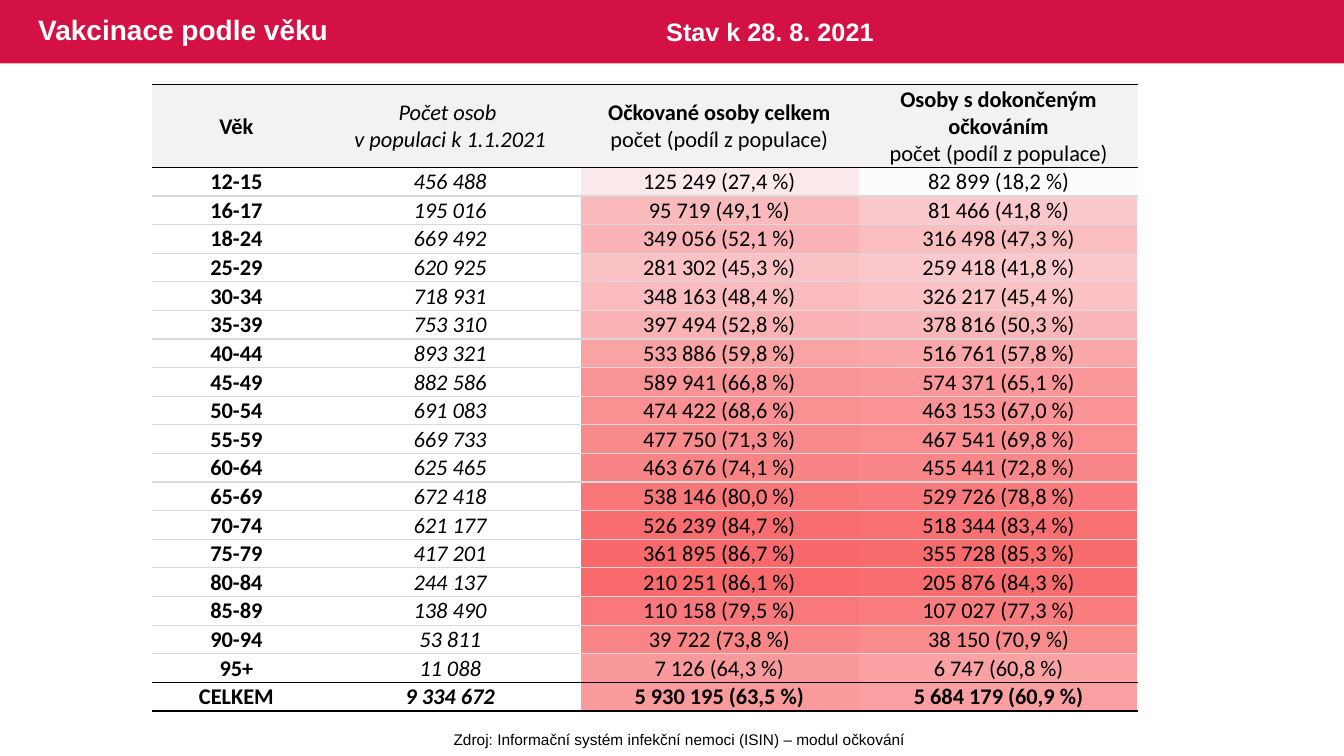
from lxml import etree
from pptx import Presentation
from pptx import util as u
from pptx.dml.color import RGBColor
from pptx.enum import shapes, text
from pptx.oxml.ns import qn

CRIMSON = RGBColor(0xD3, 0x11, 0x45)
WHITE = RGBColor(0xFF, 0xFF, 0xFF)
BLACK = RGBColor(0x00, 0x00, 0x00)
HEADER_GREY = RGBColor(0xF2, 0xF2, 0xF2)
RULE_GREY = RGBColor(0xD9, 0xD9, 0xD9)
HEAT_LOW = RGBColor(0xFC, 0xFC, 0xFF)
HEAT_HIGH = RGBColor(0xF8, 0x69, 0x6B)

COLUMN_WIDTHS = [1.67, 2.57, 2.77, 2.77]
HEAT_WIDTHS = [2.76, 2.76]
HEADER_HEIGHT = 0.82
TABLE_HEIGHT = 6.22

# Each header cell: lines of (wording, bold, italic)
HEADERS = [
    [("Věk", True, False)],
    [("Počet osob ", False, True), ("v populaci k 1.1.2021", False, True)],
    [("Očkované osoby celkem", True, False), ("počet (podíl z populace)", False, False)],
    [("Osoby s dokončeným očkováním", True, False), ("počet (podíl z populace)", False, False)],
]

# Age group, population, vaccinated, share in %, fully vaccinated, share in %
AGE_GROUPS = [
    ("12-15", "456 488", "125 249", 27.4, "82 899", 18.2),
    ("16-17", "195 016", "95 719", 49.1, "81 466", 41.8),
    ("18-24", "669 492", "349 056", 52.1, "316 498", 47.3),
    ("25-29", "620 925", "281 302", 45.3, "259 418", 41.8),
    ("30-34", "718 931", "348 163", 48.4, "326 217", 45.4),
    ("35-39", "753 310", "397 494", 52.8, "378 816", 50.3),
    ("40-44", "893 321", "533 886", 59.8, "516 761", 57.8),
    ("45-49", "882 586", "589 941", 66.8, "574 371", 65.1),
    ("50-54", "691 083", "474 422", 68.6, "463 153", 67.0),
    ("55-59", "669 733", "477 750", 71.3, "467 541", 69.8),
    ("60-64", "625 465", "463 676", 74.1, "455 441", 72.8),
    ("65-69", "672 418", "538 146", 80.0, "529 726", 78.8),
    ("70-74", "621 177", "526 239", 84.7, "518 344", 83.4),
    ("75-79", "417 201", "361 895", 86.7, "355 728", 85.3),
    ("80-84", "244 137", "210 251", 86.1, "205 876", 84.3),
    ("85-89", "138 490", "110 158", 79.5, "107 027", 77.3),
    ("90-94", "53 811", "39 722", 73.8, "38 150", 70.9),
    ("95+", "11 088", "7 126", 64.3, "6 747", 60.8),
    ("CELKEM", "9 334 672", "5 930 195", 63.5, "5 684 179", 60.9),
]
SHARES = [share for group in AGE_GROUPS for share in (group[3], group[5])]


def heat(share):
    """Colour between the lowest and the highest share."""
    part = (share - min(SHARES)) / (max(SHARES) - min(SHARES))
    return RGBColor(*(round(low + (high - low) * part)
                      for low, high in zip(HEAT_LOW, HEAT_HIGH)))


def count_and_share(count, share):
    return f"{count} ({share:.1f} %)".replace(".", ",")


class SlideBuilder:
    heading_font = "Arial"
    table_font = "Calibri"
    table_size = 16

    def __init__(self, slide):
        self.slide = slide

    def bar(self, left, top, width, height, color):
        bar = self.slide.shapes.add_shape(
            shapes.MSO_SHAPE.RECTANGLE, *map(u.Inches, (left, top, width, height)))
        bar.shadow.inherit = False
        bar.fill.solid()
        bar.fill.fore_color.rgb = color
        bar.line.fill.background()

    def span(self, para, wording, font, size, color, bold=False, italic=False):
        span = para.add_run()
        span.text = wording
        span.font.name = font
        span.font.size = u.Pt(size)
        span.font.color.rgb = color
        span.font.bold = bold
        span.font.italic = italic

    def label(self, left, top, width, height, wording, size, color, bold=False,
              align=text.PP_ALIGN.LEFT, anchor=text.MSO_ANCHOR.TOP, wrap=True, spacing=1.0):
        box = self.slide.shapes.add_textbox(*map(u.Inches, (left, top, width, height)))
        frame = box.text_frame
        frame.word_wrap = wrap
        frame.vertical_anchor = anchor
        para = frame.paragraphs[0]
        para.alignment = align
        para.line_spacing = spacing
        self.span(para, wording, self.heading_font, size, color, bold)

    def table(self, left, top, widths, heights):
        frame = self.slide.shapes.add_table(
            len(heights), len(widths),
            *map(u.Inches, (left, top, sum(widths), sum(heights))))
        table = frame.table
        table.first_row = table.horz_banding = False
        for column, width in zip(table.columns, widths):
            column.width = u.Inches(width)
        for row, height in zip(table.rows, heights):
            row.height = u.Inches(height)
        return table

    def cell(self, cell, lines=(), fill=None, above=None, below=None):
        cell.margin_left = cell.margin_right = cell.margin_top = u.Inches(0.01)
        cell.margin_bottom = 0
        cell.vertical_anchor = text.MSO_ANCHOR.MIDDLE
        self.borders(cell, above, below)
        if fill is None:
            cell.fill.background()
        else:
            cell.fill.solid()
            cell.fill.fore_color.rgb = fill
        frame = cell.text_frame
        for index, (wording, bold, italic) in enumerate(lines):
            para = frame.add_paragraph() if index else frame.paragraphs[0]
            para.alignment = text.PP_ALIGN.CENTER
            self.span(para, wording, self.table_font, self.table_size, BLACK, bold, italic)
        if not lines:  # keeps a cell without wording as low as its row
            etree.SubElement(frame.paragraphs[0]._p, qn("a:endParaRPr"), sz="1000")

    def borders(self, cell, above, below):
        properties = cell._tc.get_or_add_tcPr()
        for side, color in (("L", None), ("R", None), ("T", above), ("B", below)):
            line = etree.SubElement(properties, qn(f"a:ln{side}"), w=str(u.Pt(1)))
            if color is None:
                etree.SubElement(line, qn("a:noFill"))
            else:
                solid = etree.SubElement(line, qn("a:solidFill"))
                etree.SubElement(solid, qn("a:srgbClr"), val=str(color))


def main():
    deck = Presentation()
    deck.slide_width = u.Inches(13.33)
    deck.slide_height = u.Inches(7.5)
    page = SlideBuilder(deck.slides.add_slide(deck.slide_layouts[6]))
    total = len(AGE_GROUPS)
    row_heights = [(TABLE_HEIGHT - HEADER_HEIGHT) / total] * total

    # Title band
    page.bar(0, 0, 13.33, 0.63, CRIMSON)

    # Heat map behind the two share columns
    heat_map = page.table(5.76, 1.66, HEAT_WIDTHS, row_heights)
    for row, group in enumerate(AGE_GROUPS):
        for column, share in enumerate((group[3], group[5])):
            page.cell(heat_map.cell(row, column), fill=heat(share))

    # Headings and source line
    page.label(0.28, 0, 8.13, 0.63, "Vakcinace podle věku", 20, WHITE, bold=True,
               anchor=text.MSO_ANCHOR.MIDDLE, spacing=0.9)
    page.label(6.51, 0.11, 2.96, 0.4, "Stav k 28. 8. 2021", 18, WHITE, bold=True)
    page.label(4.39, 7.19, 4.7, 0.29,
               "Zdroj: Informační systém infekční nemoci (ISIN) – modul očkování",
               11, BLACK, align=text.PP_ALIGN.CENTER, wrap=False)

    # Vaccination table: header
    table = page.table(1.51, 0.84, COLUMN_WIDTHS, [HEADER_HEIGHT] + row_heights)
    for column, lines in enumerate(HEADERS):
        page.cell(table.cell(0, column), lines, HEADER_GREY, BLACK, BLACK)

    # Vaccination table: age groups and the total
    for row, group in enumerate(AGE_GROUPS, start=1):
        age, population, vaccinated, share, completed, completed_share = group
        is_total = row == total
        above = BLACK if row in (1, total) else RULE_GREY
        below = BLACK if row >= total - 1 else RULE_GREY
        entries = [
            (age, True, False),
            (population, is_total, True),
            (count_and_share(vaccinated, share), is_total, False),
            (count_and_share(completed, completed_share), is_total, False),
        ]
        for column, entry in enumerate(entries):
            page.cell(table.cell(row, column), [entry], above=above, below=below)

    deck.save("out.pptx")


if __name__ == "__main__":
    main()
